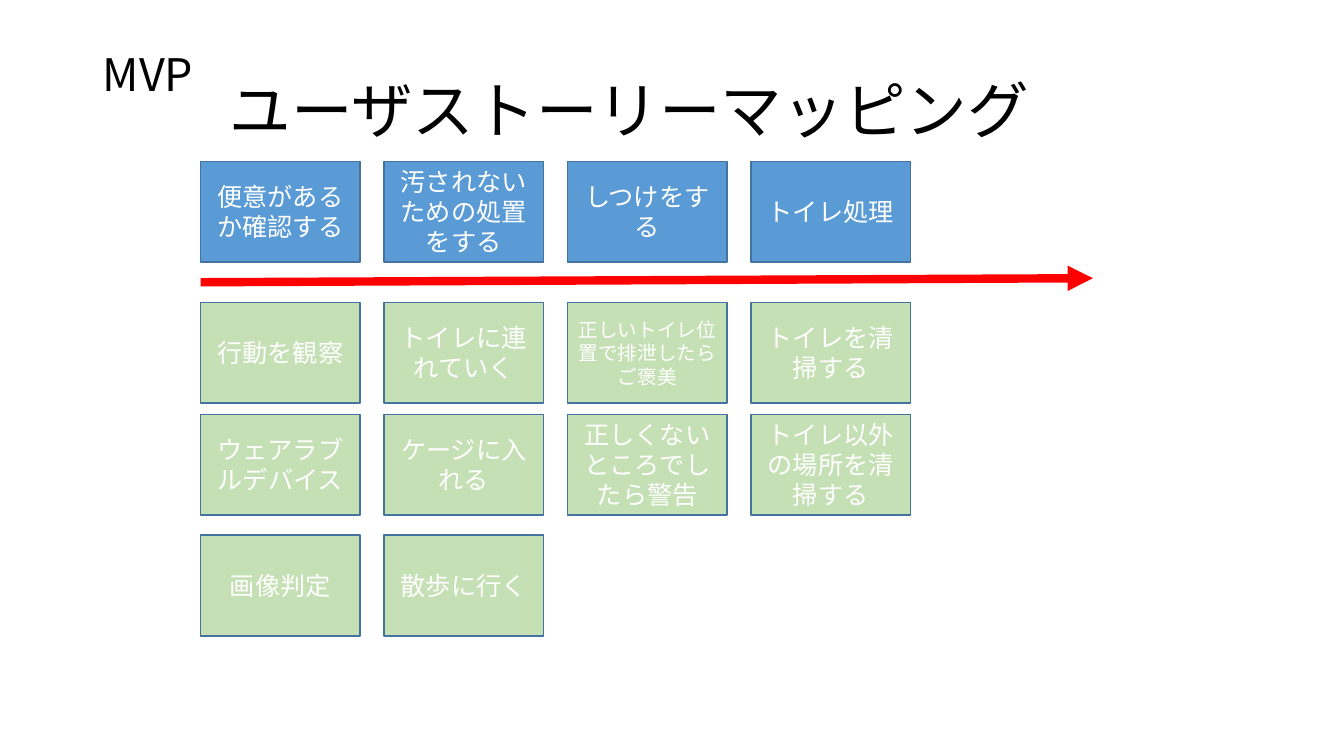
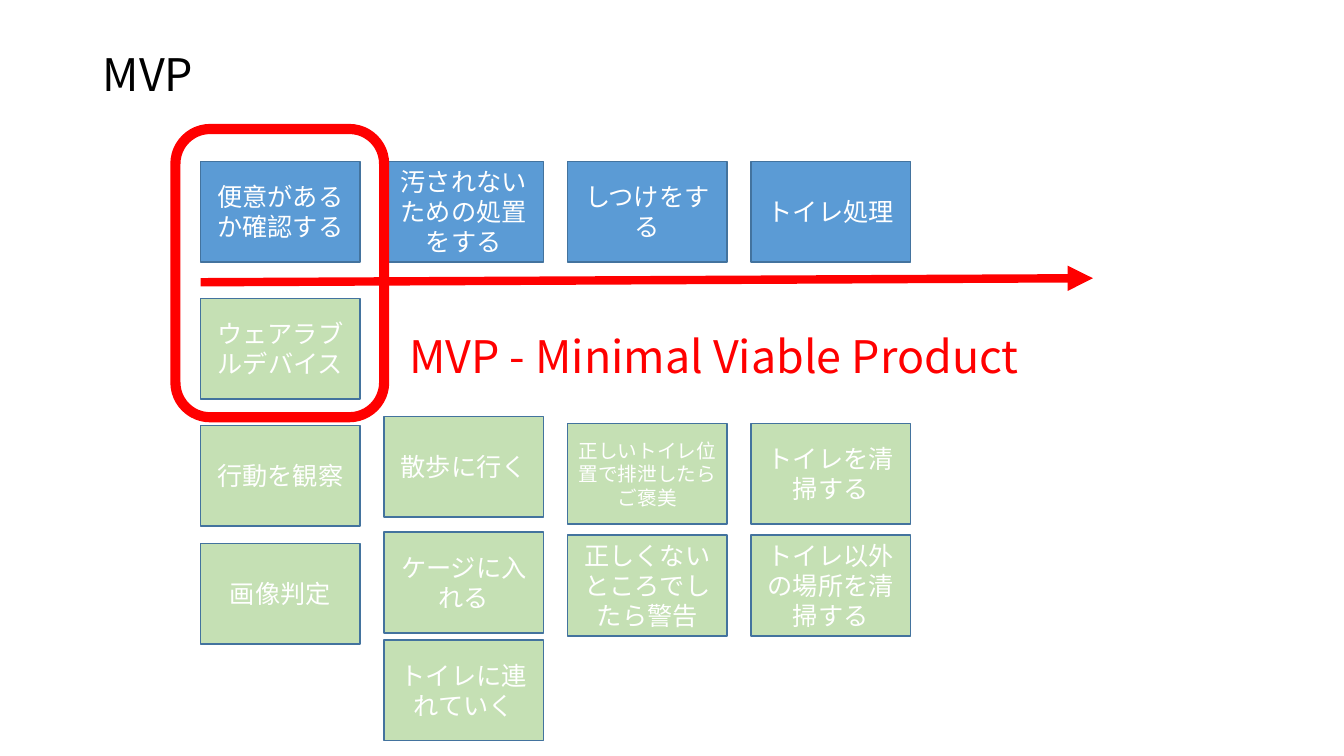
import pptx
import pptx.util
import pptx.dml.color
import pptx.enum.shapes
import pptx.enum.text
import pptx.oxml.ns
from dataclasses import dataclass
from lxml import etree

Inches = pptx.util.Inches
Pt = pptx.util.Pt
qn = pptx.oxml.ns.qn
Shape = pptx.enum.shapes.MSO_SHAPE
Align = pptx.enum.text.PP_ALIGN
Anchor = pptx.enum.text.MSO_ANCHOR


@dataclass(frozen=True)
class Theme:
    font: str = "Noto Sans CJK JP"
    activity: str = "5B9BD5"
    story: str = "C5E0B4"
    border: str = "43739E"
    card_text: str = "FFFFFF"
    text: str = "000000"
    accent: str = "FF0000"
    title_size: int = 44
    heading_size: int = 32
    card_size: int = 18
    small_size: int = 14


THEME = Theme()

# Content
HEADING = "MVP"
ACTIVITIES = ["便意があるか確認する", "汚されないための処置をする", "しつけをする", "トイレ処理"]
REWARD = "正しいトイレ位置で排泄したらご褒美"
TRAINING = [REWARD, "正しくないところでしたら警告"]
CLEANING = ["トイレを清掃する", "トイレ以外の場所を清掃する"]
SMALL_CARDS = {REWARD}

# Each column holds its stories and their tops in inches
ALL_STORY_TOPS = [3, 4.11, 5.31]
ALL_STORIES = [
    (["行動を観察", "ウェアラブルデバイス", "画像判定"], ALL_STORY_TOPS),
    (["トイレに連れていく", "ケージに入れる", "散歩に行く"], ALL_STORY_TOPS),
    (TRAINING, ALL_STORY_TOPS),
    (CLEANING, ALL_STORY_TOPS),
]
LATER_TOPS = [4.2, 5.31]
PRIORITIZED_STORIES = [
    (["ウェアラブルデバイス", "行動を観察", "画像判定"], [2.96, 4.22, 5.39]),
    (["散歩に行く", "ケージに入れる", "トイレに連れていく"], [4.13, 5.28, 6.35]),
    (TRAINING, LATER_TOPS),
    (CLEANING, LATER_TOPS),
]

# Grid, in inches
GRID_LEFT, COLUMN_PITCH = 1.99, 1.82
CARD_WIDTH, CARD_HEIGHT = 1.58, 1
ACTIVITY_TOP = 1.6


def rgb(color):
    return pptx.dml.color.RGBColor.from_string(color)


def write(frame, text, size, color, align=Align.LEFT, spacing=None):
    paragraph = frame.paragraphs[0]
    paragraph.text = text
    paragraph.alignment = align
    paragraph.line_spacing = spacing
    font = paragraph.font
    font.size = Pt(size)
    font.color.rgb = rgb(color)
    font.name = THEME.font
    # Japanese text takes its face from the East Asian font
    properties = paragraph._p.find(qn("a:pPr")).find(qn("a:defRPr"))
    etree.SubElement(properties, qn("a:ea"), typeface=THEME.font)


def add_text(slide, text, box, size, color, anchor=Anchor.MIDDLE, spacing=0.9, wrap=True):
    frame = slide.shapes.add_textbox(*map(Inches, box)).text_frame
    frame.word_wrap = wrap
    frame.vertical_anchor = anchor
    write(frame, text, size, color, spacing=spacing)


def add_card(slide, text, column, top, fill):
    left = GRID_LEFT + column * COLUMN_PITCH
    card = slide.shapes.add_shape(
        Shape.RECTANGLE, *map(Inches, (left, top, CARD_WIDTH, CARD_HEIGHT)))
    card.shadow.inherit = False
    card.fill.solid()
    card.fill.fore_color.rgb = rgb(fill)
    card.line.color.rgb = rgb(THEME.border)
    card.line.width = Pt(1)
    card.text_frame.word_wrap = True
    card.text_frame.vertical_anchor = Anchor.MIDDLE
    size = THEME.small_size if text in SMALL_CARDS else THEME.card_size
    write(card.text_frame, text, size, THEME.card_text, Align.CENTER)


def add_timeline(slide):
    timeline = slide.shapes.add_connector(
        pptx.enum.shapes.MSO_CONNECTOR.STRAIGHT,
        *map(Inches, (GRID_LEFT, 2.8, 10.84, 2.76)))
    timeline.line.color.rgb = rgb(THEME.accent)
    timeline.line.width = Pt(6)
    properties = timeline._element.spPr
    etree.SubElement(properties.find(qn("a:ln")), qn("a:tailEnd"), type="triangle")
    etree.SubElement(properties, qn("a:effectLst"))


def add_story_map(deck, stories):
    slide = deck.slides.add_slide(deck.slide_layouts[6])
    for column, activity in enumerate(ACTIVITIES):
        add_card(slide, activity, column, ACTIVITY_TOP, THEME.activity)
    for column, (names, tops) in enumerate(stories):
        for name, top in zip(names, tops):
            add_card(slide, name, column, top, THEME.story)
    add_timeline(slide)
    add_text(slide, HEADING, (0.92, 0.4, 11.5, 0.73), THEME.heading_size, THEME.text)
    return slide


def add_mvp_frame(slide):
    mvp_frame = slide.shapes.add_shape(
        Shape.ROUNDED_RECTANGLE, *map(Inches, (1.74, 1.28, 2.07, 2.86)))
    mvp_frame.shadow.inherit = False
    mvp_frame.fill.background()
    mvp_frame.line.color.rgb = rgb(THEME.accent)
    mvp_frame.line.width = Pt(7.25)


def main():
    deck = pptx.Presentation()
    deck.slide_width, deck.slide_height = Inches(13.33), Inches(7.5)

    # Full story map
    story_map = add_story_map(deck, ALL_STORIES)
    add_text(story_map, "ユーザストーリーマッピング", (2.18, 0.4, 9.79, 1.45),
             THEME.title_size, THEME.text)

    # Stories by priority, with the MVP marked
    mvp_map = add_story_map(deck, PRIORITIZED_STORIES)
    add_text(mvp_map, "MVP - Minimal Viable Product", (3.96, 3.21, 6.48, 0.64),
             THEME.heading_size, THEME.accent, Anchor.TOP, spacing=None, wrap=False)
    add_mvp_frame(mvp_map)

    deck.save("out.pptx")


if __name__ == "__main__":
    main()
